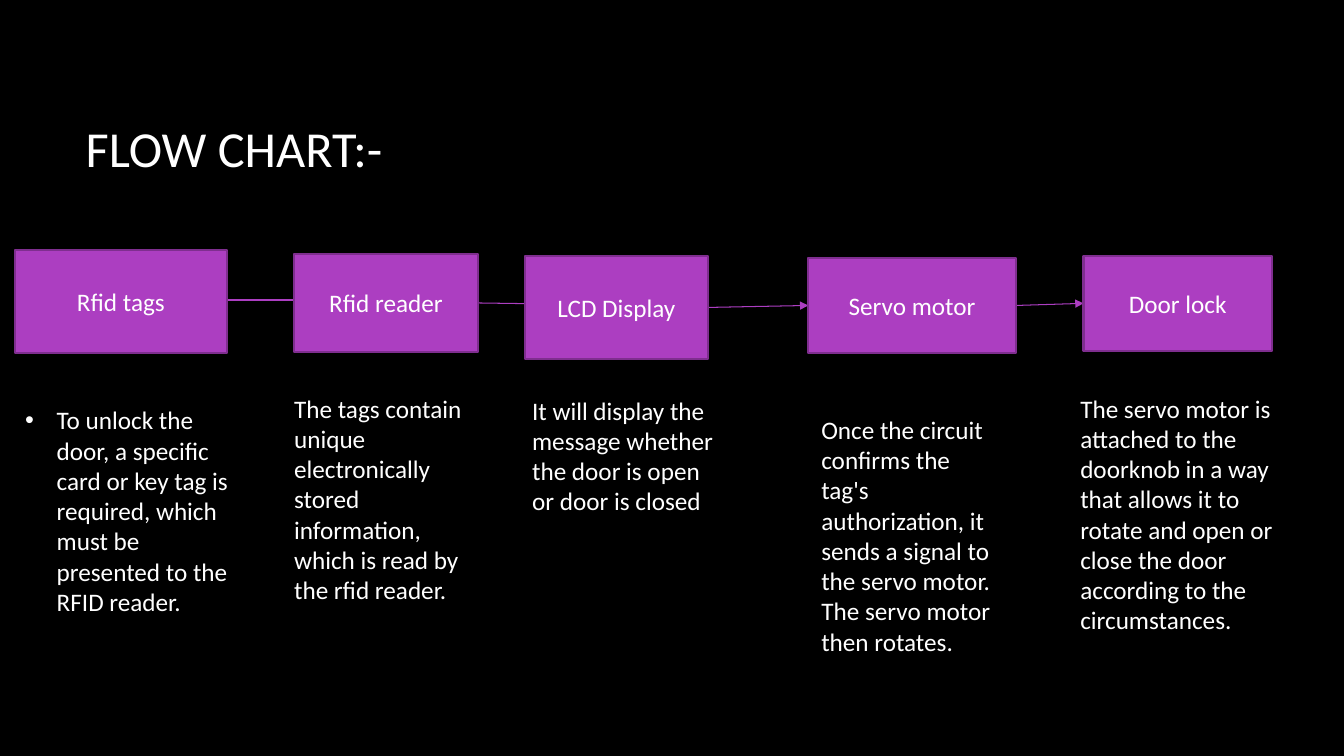
from dataclasses import dataclass

import pptx
import pptx.dml.color
import pptx.enum.dml
import pptx.enum.shapes
import pptx.enum.text
import pptx.oxml
import pptx.oxml.ns
import pptx.util

Pt = pptx.util.Pt
RGBColor = pptx.dml.color.RGBColor
ALIGN = pptx.enum.text.PP_ALIGN
ANCHOR = pptx.enum.text.MSO_ANCHOR
AUTO_SIZE = pptx.enum.text.MSO_AUTO_SIZE

BLACK = RGBColor(0x00, 0x00, 0x00)
WHITE = RGBColor(0xFF, 0xFF, 0xFF)
PURPLE = RGBColor(0xAC, 0x3E, 0xC1)
DARK_PURPLE = RGBColor(0x7F, 0x2E, 0x8F)
FONT = "Calibri"
TEXT_SIZE = 18
TITLE_SIZE = 36


@dataclass
class Frame:
    left: float
    top: float
    width: float
    height: float


@dataclass
class Step:
    label: str
    box: Frame
    note: Frame
    paragraphs: list[str]


@dataclass
class Arrow:
    start: tuple[float, float]
    end: tuple[float, float]
    weight: float = 0.75


BULLET_FRAME = Frame(10.8, 272.9, 167, 183.6)
STEPS = [
    Step("Rfid tags", Frame(10.8, 178.6, 151.2, 73.4), BULLET_FRAME,
         ["To unlock the door, a specific card or key tag is required, "
          "which must be presented to the RFID reader."]),
    Step("Rfid reader", Frame(210.2, 181.4, 131, 69.8), Frame(203, 277.2, 144.7, 159.8),
         ["The tags contain unique electronically stored information, "
          "which is read by the rfid reader."]),
    Step("LCD Display", Frame(375.1, 182.9, 130.3, 73.4), Frame(373, 278.6, 144.7, 94.3),
         ["It will display the message whether the door is open or door is closed"]),
    Step("Servo motor", Frame(577.4, 184.3, 148.3, 67.7), Frame(579.6, 292.3, 144, 181.4),
         ["Once the circuit confirms the tag's authorization, "
          "it sends a signal to the servo motor.",
          "The servo motor then rotates."]),
    Step("Door lock", Frame(774, 182.9, 134.6, 67.7), Frame(764.6, 277.2, 154.1, 184.3),
         ["The servo motor is attached to the doorknob in a way that allows it "
          "to rotate and open or close the door according to the circumstances."]),
]
ARROWS = [
    Arrow((162, 214.6), (232.6, 214.6), 1.5),
    Arrow((341.3, 216.4), (467.3, 218.2)),
    Arrow((505.4, 219.6), (577.4, 218.2)),
    Arrow((725.8, 218.2), (774, 216.7)),
]


def place(shape, frame: Frame) -> None:
    shape.left, shape.top = Pt(frame.left), Pt(frame.top)
    shape.width, shape.height = Pt(frame.width), Pt(frame.height)


def write(shape, paragraphs: list[str], size: float = TEXT_SIZE,
          align=ALIGN.LEFT, anchor=ANCHOR.MIDDLE) -> None:
    frame = shape.text_frame
    frame.word_wrap = True
    frame.auto_size = AUTO_SIZE.NONE
    frame.vertical_anchor = anchor
    for index, text in enumerate(paragraphs):
        para = frame.add_paragraph() if index else frame.paragraphs[0]
        para.alignment = align
        span = para.add_run()
        span.text = text
        span.font.name = FONT
        span.font.size = Pt(size)
        span.font.color.rgb = WHITE


def add_arrow(page, arrow: Arrow) -> None:
    points = [Pt(value) for value in (*arrow.start, *arrow.end)]
    connector = page.shapes.add_connector(
        pptx.enum.shapes.MSO_CONNECTOR.STRAIGHT, *points)
    connector.line.color.rgb = PURPLE
    connector.line.width = Pt(arrow.weight)
    line = connector.line._get_or_add_ln()
    head = pptx.oxml.parse_xml(
        f'<a:tailEnd {pptx.oxml.ns.nsdecls("a")} type="triangle"/>')
    line.append(head)
    effects = pptx.oxml.parse_xml(f'<a:effectLst {pptx.oxml.ns.nsdecls("a")}/>')
    connector._element.spPr.append(effects)


def add_box(page, step: Step) -> None:
    box = page.shapes.add_shape(
        pptx.enum.shapes.MSO_SHAPE.FLOWCHART_PROCESS, 0, 0, 0, 0)
    place(box, step.box)
    box.shadow.inherit = False
    box.fill.solid()
    box.fill.fore_color.rgb = PURPLE
    box.line.color.rgb = DARK_PURPLE
    box.line.width = Pt(1.5)
    write(box, [step.label], align=ALIGN.CENTER)


def add_note(page, step: Step) -> None:
    note = page.shapes.add_textbox(0, 0, 0, 0)
    place(note, step.note)
    write(note, step.paragraphs, anchor=ANCHOR.TOP)


def fill_bullet(body, step: Step) -> None:
    place(body, step.note)
    write(body, step.paragraphs)
    para = body.text_frame.paragraphs[0]
    para.space_before = Pt(0)
    para.space_after = Pt(10)
    properties = para._p.get_or_add_pPr()
    properties.set("marL", str(Pt(22.5)))
    properties.set("indent", str(-Pt(22.5)))


# Deck and page
deck = pptx.Presentation()
deck.slide_width, deck.slide_height = Pt(960), Pt(540)
page = deck.slides.add_slide(deck.slide_layouts[1])
page.background.fill.solid()
page.background.fill.fore_color.rgb = BLACK

# Title and first step's explanation
title = page.shapes.title
place(title, Frame(54, 48.2, 797.8, 114.5))
write(title, ["FLOW CHART:-"], TITLE_SIZE)
fill_bullet(page.placeholders[1], STEPS[0])

# Arrows lie behind the boxes
for arrow in ARROWS:
    add_arrow(page, arrow)
for step in STEPS:
    add_box(page, step)

# Explanations of the later steps
for step in STEPS[1:]:
    add_note(page, step)

deck.save("out.pptx")
